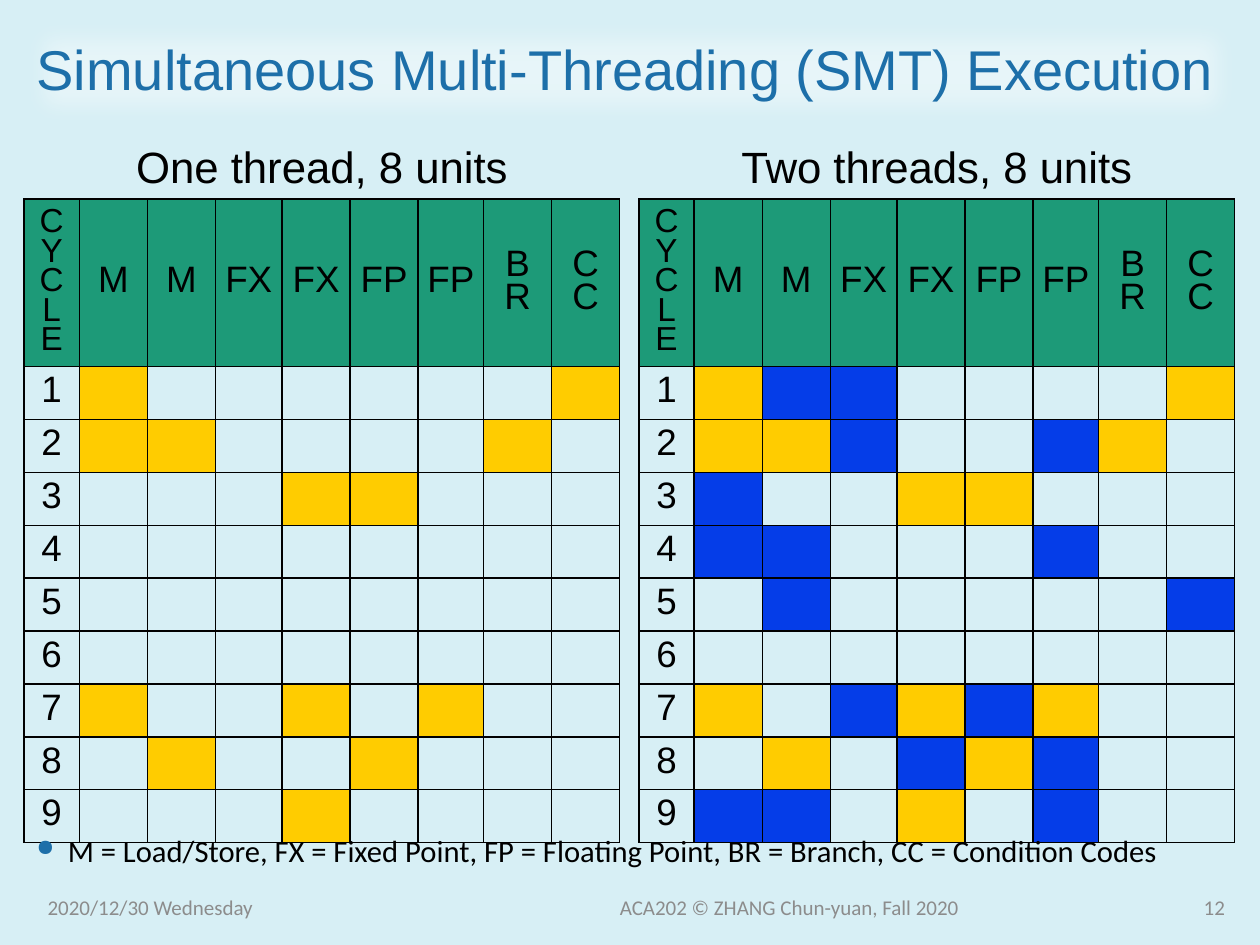
from dataclasses import dataclass

from lxml.etree import SubElement
from pptx import Presentation
from pptx.dml.color import RGBColor as RGB
from pptx.enum.text import MSO_ANCHOR as Anchor, PP_ALIGN as Align
from pptx.oxml.ns import qn
from pptx.util import Inches, Pt


@dataclass(frozen=True)
class Theme:
    background: str = "D7EFF5"
    accent: str = "1D6FA9"
    glow: str = "FFFFFF"
    ink: str = "000000"
    muted: str = "8C8C8C"
    header: str = "1D9A78"
    first_thread: str = "FFCC00"
    second_thread: str = "053DE8"
    sans: str = "Arial"
    body: str = "Calibri"
    title_size: float = 32
    heading_size: float = 25
    unit_size: float = 21
    cycle_size: float = 19
    legend_size: float = 17.5
    footer_size: float = 12


UNITS = ["M", "M", "FX", "FX", "FP", "FP", "BR", "CC"]
COLUMN_WIDTHS = [0.44, 0.54, 0.54, 0.53, 0.54, 0.54, 0.52, 0.54, 0.54]
HEADING_HEIGHT, HEADER_HEIGHT, CYCLE_HEIGHT = 0.43, 1.33, 0.42

# One row per cycle, one mark per unit: 1 = first thread, 2 = second thread.
ONE_THREAD = ["1......1", "11....1.", "...11...", "........", "........",
              "........", "1..1.1..", ".1..1...", "...1...."]
TWO_THREADS = ["122....1", "112..21.", "2..11...", "22...2..", ".2.....2",
               "........", "1.2121..", ".1.212..", "22.1.2.."]


def write(frame, text, *, size, font, color, align=Align.LEFT, spacing=None):
    """Put one formatted paragraph in a text frame and return it."""
    paragraph = frame.paragraphs[0]
    paragraph.alignment = align
    paragraph.line_spacing = spacing
    run = paragraph.add_run()
    run.text = text
    run.font.size = Pt(size)
    run.font.name = font
    run.font.color.rgb = RGB.from_string(color)
    return paragraph


def add_bullet(paragraph, color, indent=0.25):
    properties = paragraph._p.get_or_add_pPr()
    properties.set("marL", str(Inches(indent)))
    properties.set("indent", str(-Inches(indent)))
    bullet_color = SubElement(properties, qn("a:buClr"))
    SubElement(bullet_color, qn("a:srgbClr"), val=color)
    SubElement(properties, qn("a:buSzPct"), val="75000")
    SubElement(properties, qn("a:buChar"), char="●")


def set_borders(cell, color, visible="LRTB"):
    """Draw the visible sides of a cell and hide the others."""
    properties = cell._tc.get_or_add_tcPr()
    for side in "LRTB":
        line = SubElement(properties, qn(f"a:ln{side}"), w=str(Pt(1)))
        if side in visible:
            fill = SubElement(line, qn("a:solidFill"))
            SubElement(fill, qn("a:srgbClr"), val=color)
        else:
            SubElement(line, qn("a:noFill"))


class SlideBuilder:
    def __init__(self, slide, theme):
        self.slide = slide
        self.theme = theme
        fill = slide.background.fill
        fill.solid()
        fill.fore_color.rgb = RGB.from_string(theme.background)

    def title(self, text, left, top, width, height):
        theme = self.theme
        title = self.slide.shapes.title
        title.left, title.top = Inches(left), Inches(top)
        title.width, title.height = Inches(width), Inches(height)
        title.fill.solid()
        title.fill.fore_color.rgb = RGB.from_string(theme.glow)
        properties = title._element.spPr
        color = properties.find(f"{qn('a:solidFill')}/{qn('a:srgbClr')}")
        SubElement(color, qn("a:alpha"), val="40000")
        effects = SubElement(properties, qn("a:effectLst"))
        SubElement(effects, qn("a:softEdge"), rad=str(Pt(12.5)))
        title.text_frame.vertical_anchor = Anchor.MIDDLE
        write(title.text_frame, text, size=theme.title_size, font=theme.sans,
              color=theme.accent, spacing=0.9)

    def text(self, text, left, top, width, height, anchor=Anchor.MIDDLE, **style):
        box = self.slide.shapes.add_textbox(
            Inches(left), Inches(top), Inches(width), Inches(height))
        box.text_frame.word_wrap = True
        box.text_frame.vertical_anchor = anchor
        return write(box.text_frame, text, **style)

    def cell(self, cell, text="", size=None, fill=None, borders="LRTB"):
        theme = self.theme
        cell.margin_left = cell.margin_right = Inches(0.07)
        cell.margin_top = cell.margin_bottom = Inches(0.05)
        cell.vertical_anchor = Anchor.MIDDLE
        set_borders(cell, theme.ink, borders)
        if fill:
            cell.fill.solid()
            cell.fill.fore_color.rgb = RGB.from_string(fill)
        else:
            cell.fill.background()
        if text:
            write(cell.text_frame, text, size=size, font=theme.sans,
                  color=theme.ink, align=Align.CENTER, spacing=0.8)

    def schedule(self, heading, cycles, left, top):
        """Table of the units that each thread uses in each cycle."""
        theme = self.theme
        heights = [HEADING_HEIGHT, HEADER_HEIGHT] + [CYCLE_HEIGHT] * len(cycles)
        table = self.slide.shapes.add_table(
            len(heights), len(COLUMN_WIDTHS), Inches(left), Inches(top),
            Inches(sum(COLUMN_WIDTHS)), Inches(sum(heights))).table
        table.first_row = table.horz_banding = False
        for column, width in zip(table.columns, COLUMN_WIDTHS):
            column.width = Inches(width)
        for row, height in zip(table.rows, heights):
            row.height = Inches(height)

        last_column = len(COLUMN_WIDTHS) - 1
        table.cell(0, 0).merge(table.cell(0, last_column))
        for column in range(last_column + 1):
            self.cell(table.cell(0, column), "" if column else heading,
                      theme.heading_size, borders="B")
        self.cell(table.cell(1, 0), "CYCLE", theme.cycle_size, theme.header)
        for column, unit in enumerate(UNITS, 1):
            self.cell(table.cell(1, column), unit, theme.unit_size, theme.header)

        thread_fills = {"1": theme.first_thread, "2": theme.second_thread}
        for cycle, marks in enumerate(cycles, 1):
            self.cell(table.cell(cycle + 1, 0), str(cycle), theme.unit_size)
            for column, mark in enumerate(marks, 1):
                self.cell(table.cell(cycle + 1, column),
                          fill=thread_fills.get(mark))

    def legend(self, text, left, top, width, height):
        theme = self.theme
        paragraph = self.text(
            text, left, top, width, height, anchor=Anchor.TOP, spacing=0.7,
            size=theme.legend_size, font=theme.body, color=theme.ink)
        add_bullet(paragraph, theme.accent)

    def footer(self, text, left, width, align):
        theme = self.theme
        self.text(text, left, 7.05, width, 0.3, align=align,
                  size=theme.footer_size, font=theme.body, color=theme.muted)


def main():
    deck = Presentation()
    deck.slide_width, deck.slide_height = Inches(10), Inches(7.5)
    title_only = deck.slide_layouts[5]
    builder = SlideBuilder(deck.slides.add_slide(title_only), Theme())

    builder.title("Simultaneous Multi-Threading (SMT) Execution",
                  0.19, 0.15, 9.63, 0.85)
    builder.schedule("One thread, 8 units", ONE_THREAD, 0.19, 1.15)
    builder.schedule("Two threads, 8 units", TWO_THREADS, 5.07, 1.15)
    builder.legend("M = Load/Store, FX = Fixed Point, FP = Floating Point, "
                   "BR = Branch, CC = Condition Codes", 0.19, 6.63, 9.63, 0.42)
    builder.footer("2020/12/30 Wednesday", 0.28, 3.7, Align.LEFT)
    builder.footer("ACA202 © ZHANG Chun-yuan, Fall 2020", 4.14, 4.25, Align.CENTER)
    builder.footer("12", 8.78, 1.04, Align.RIGHT)
    deck.save("out.pptx")


if __name__ == "__main__":
    main()
